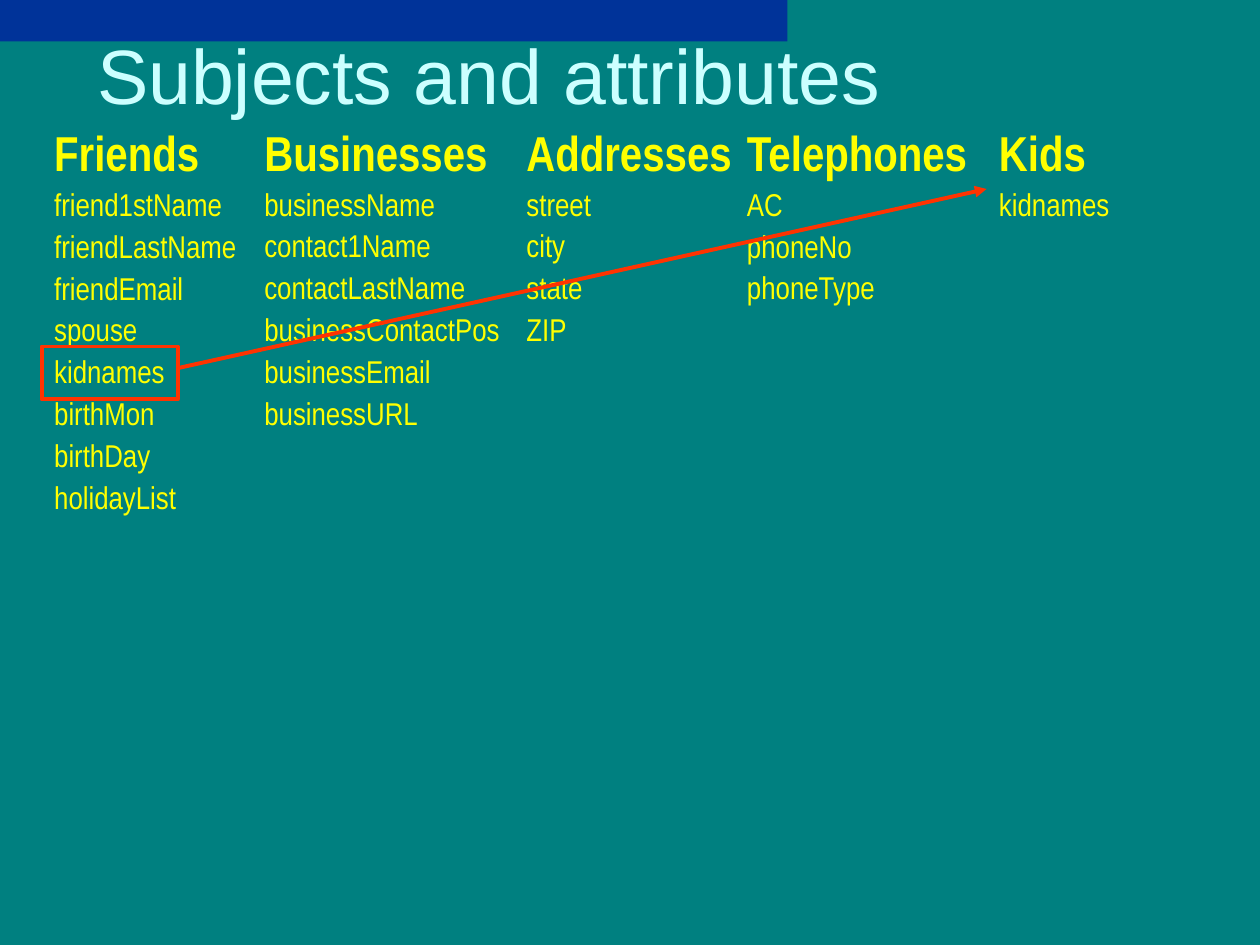
from dataclasses import dataclass

from lxml import etree
from pptx import Presentation
from pptx import util as u
from pptx.dml.color import RGBColor
from pptx.enum import shapes, text
from pptx.oxml.ns import qn

BACKGROUND, BAR, TITLE = "008080", "003399", "CCFFFF"
YELLOW, RED = "FFFF00", "FF3300"
COLUMN_TOP = 0.92
HANGING = u.Inches(0.38)


@dataclass
class Subject:
    name: str
    attributes: list[str]
    left: float
    width: float
    height: float


SUBJECTS = [
    Subject("Friends",
            ["friend1stName", "friendLastName", "friendEmail", "spouse",
             "kidnames", "birthMon", "birthDay", "holidayList"],
            0.33, 1.67, 4.83),
    Subject("Businesses",
            ["businessName", "contact1Name", "contactLastName",
             "businessContactPos", "businessEmail", "businessURL"],
            2, 2.17, 3.33),
    Subject("Addresses", ["street", "city", "state", "ZIP"], 4.08, 2.08, 2.17),
    Subject("Telephones", ["AC", "phoneNo", "phoneType"], 5.83, 2.08, 1.92),
    Subject("Kids", ["kidnames"], 7.83, 1.58, 1.17),
]


def color(value: str) -> RGBColor:
    return RGBColor.from_string(value)


def place(box, left: float, top: float, width: float, height: float) -> None:
    box.left, box.top = u.Inches(left), u.Inches(top)
    box.width, box.height = u.Inches(width), u.Inches(height)


def style(para, font: str, size: float, fill: str, bold: bool = False) -> None:
    para.alignment = text.PP_ALIGN.LEFT
    para.font.name = font
    para.font.size = u.Pt(size)
    para.font.bold = bold
    para.font.color.rgb = color(fill)


def fill_column(box, subject: Subject) -> None:
    """Write the subject as a heading with its attributes below."""
    place(box, subject.left, COLUMN_TOP, subject.width, subject.height)
    frame = box.text_frame
    frame.text = "\n".join([subject.name, *subject.attributes])
    frame.word_wrap = True
    frame.auto_size = text.MSO_AUTO_SIZE.NONE
    for index, para in enumerate(frame.paragraphs):
        properties = para._p.get_or_add_pPr()
        properties.set("marL", str(HANGING))
        properties.set("indent", str(-HANGING))
        etree.SubElement(properties, qn("a:buNone"))
        heading = index == 0
        para.space_before = u.Pt(0 if heading else 4.5)
        para.line_spacing = 1.0 if heading else 0.9
        style(para, "Arial Narrow", 28 if heading else 18, YELLOW, heading)


def add_rectangle(page, left: float, top: float, width: float, height: float):
    box = page.shapes.add_shape(
        shapes.MSO_SHAPE.RECTANGLE, u.Inches(left), u.Inches(top),
        u.Inches(width), u.Inches(height))
    box.shadow.inherit = False
    return box


def set_line(item) -> None:
    item.line.color.rgb = color(RED)
    item.line.width = u.Pt(2.25)


def add_arrow(page, start: tuple[float, float], end: tuple[float, float]) -> None:
    arrow = page.shapes.add_connector(
        shapes.MSO_CONNECTOR.STRAIGHT,
        *(u.Inches(value) for value in (*start, *end)))
    set_line(arrow)
    etree.SubElement(arrow.line._get_or_add_ln(), qn("a:tailEnd"), type="triangle")
    etree.SubElement(arrow._element.spPr, qn("a:effectLst"))


def main() -> None:
    deck = Presentation()
    deck.slide_width, deck.slide_height = u.Inches(10), u.Inches(7.5)
    page = deck.slides.add_slide(deck.slide_layouts[1])
    page.background.fill.solid()
    page.background.fill.fore_color.rgb = color(BACKGROUND)

    bar = add_rectangle(page, 0, 0, 6.25, 0.33)
    bar.fill.solid()
    bar.fill.fore_color.rgb = color(BAR)
    bar.line.fill.background()
    page.shapes._spTree.insert(2, bar._element)  # behind the title

    title = page.shapes.title
    place(title, 0.67, 0.25, 8.42, 0.67)
    title.text_frame.text = "Subjects and attributes"
    title.text_frame.auto_size = text.MSO_AUTO_SIZE.NONE
    title.text_frame.vertical_anchor = text.MSO_ANCHOR.MIDDLE
    style(title.text_frame.paragraphs[0], "Arial", 44, TITLE)

    first, *others = SUBJECTS
    fill_column(page.placeholders[1], first)
    for subject in others:
        fill_column(page.shapes.add_textbox(0, 0, 0, 0), subject)

    highlight = add_rectangle(page, 0.33, 2.75, 1.08, 0.42)
    highlight.fill.background()
    set_line(highlight)
    add_arrow(page, (1.42, 2.92), (7.83, 1.5))

    deck.save("out.pptx")


if __name__ == "__main__":
    main()
